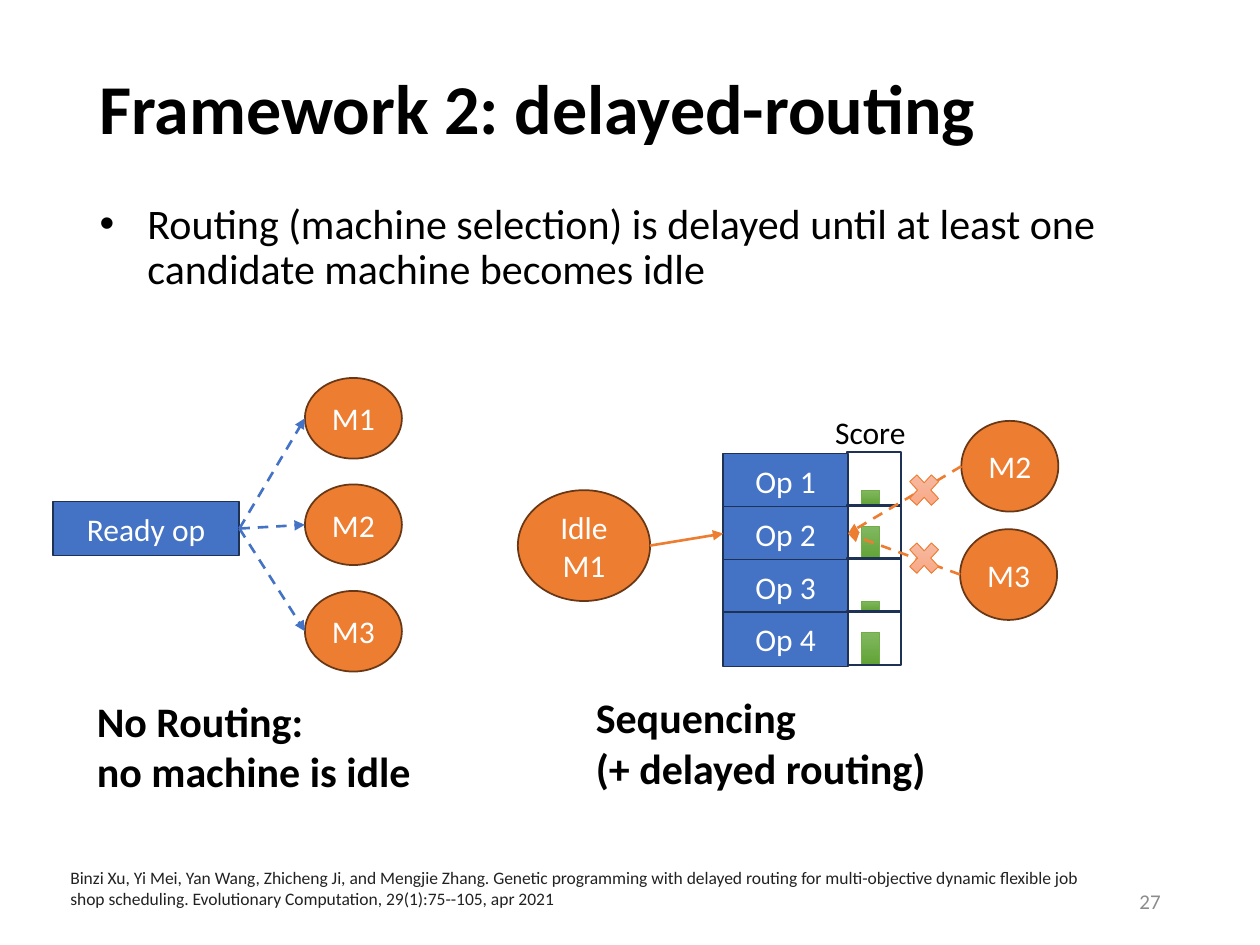
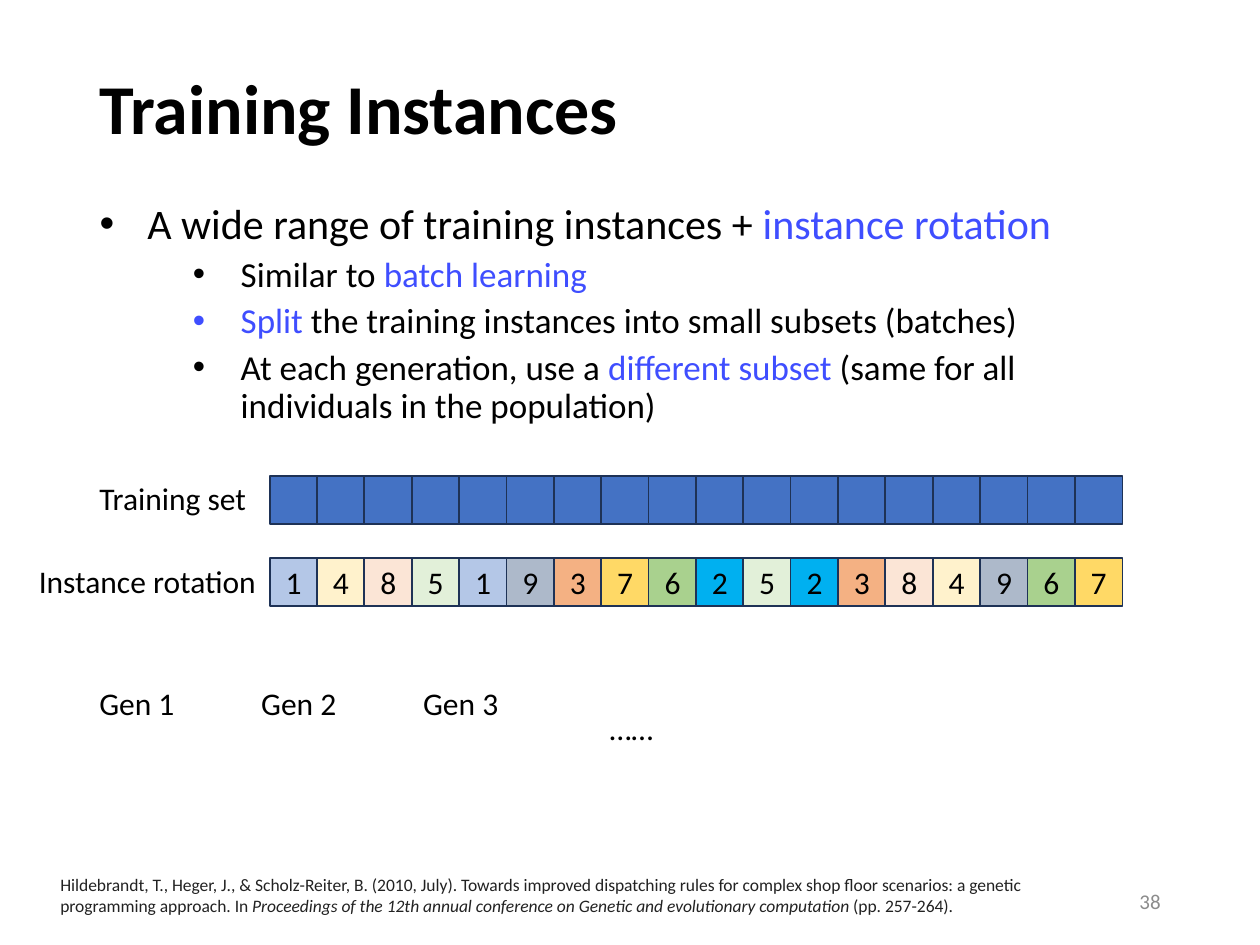
from typing import NamedTuple

from lxml import etree
from pptx import Presentation
from pptx.dml.color import RGBColor
from pptx.enum import dml, shapes, text
from pptx.oxml.ns import qn
from pptx.util import Inches, Pt

FONT = "Calibri"
BLACK = RGBColor(0x00, 0x00, 0x00)
WHITE = RGBColor(0xFF, 0xFF, 0xFF)
GREY = RGBColor(0x8C, 0x8C, 0x8C)
INK = RGBColor(0x22, 0x22, 0x22)
ACCENT = RGBColor(0x3F, 0x4E, 0xFF)
BLUE = RGBColor(0x44, 0x72, 0xC4)
NAVY = RGBColor(0x1E, 0x32, 0x56)
ORANGE = RGBColor(0xED, 0x7D, 0x31)
BROWN = RGBColor(0x68, 0x37, 0x15)
GREEN = RGBColor(0x70, 0xAD, 0x47)
LEAF = (RGBColor(0x81, 0xB8, 0x61), RGBColor(0x62, 0xA3, 0x36))
PEACH = (RGBColor(0xF7, 0xBD, 0xA5), RGBColor(0xF8, 0xA5, 0x82))
BATCH = {
    1: RGBColor(0xB4, 0xC7, 0xE7),
    2: RGBColor(0x00, 0xB0, 0xF0),
    3: RGBColor(0xF4, 0xB1, 0x83),
    4: RGBColor(0xFF, 0xF2, 0xCC),
    5: RGBColor(0xE2, 0xF0, 0xD9),
    6: RGBColor(0xA9, 0xD1, 0x8E),
    7: RGBColor(0xFF, 0xD9, 0x66),
    8: RGBColor(0xFB, 0xE5, 0xD6),
    9: RGBColor(0xAD, 0xB9, 0xCA),
}
ORDER = (1, 4, 8, 5, 1, 9, 3, 7, 6, 2, 5, 2, 3, 8, 4, 9, 6, 7)

RECT = shapes.MSO_SHAPE.RECTANGLE
OVAL = shapes.MSO_SHAPE.OVAL
CROSS = shapes.MSO_SHAPE.MATH_MULTIPLY
LEFT, RIGHT = 1, 3


class Box(NamedTuple):
    x: float
    y: float
    w: float
    h: float


class Bit(NamedTuple):
    """A stretch of text with its own look."""
    words: str
    color: RGBColor = BLACK
    slant: bool = False


class Look(NamedTuple):
    fill: RGBColor | tuple | None
    line: RGBColor
    width: float = 1
    ink: RGBColor = WHITE


class Item(NamedTuple):
    level: int
    bits: tuple


TASK = Look(BLUE, NAVY)
HOST = Look(ORANGE, BROWN)
CELL = Look(None, NAVY)
BAR = Look(LEAF, GREEN, 0.5)
MARK = Look(PEACH, ORANGE, 0.5)


def place(shape, box: Box) -> None:
    shape.left, shape.top, shape.width, shape.height = map(Inches, box)


def style(font, size: float, color: RGBColor, bold: bool = False) -> None:
    font.name, font.size, font.bold = FONT, Pt(size), bold
    font.color.rgb = color


def write(para, bits: tuple, size: float) -> None:
    for bit in bits:
        run = para.add_run()
        run.text = bit.words
        style(run.font, size, bit.color)
        run.font.italic = bit.slant


def label(slide, box: Box, words: str, size: float = 18, color: RGBColor = BLACK,
          bold: bool = False, wrap: bool = False):
    shape = slide.shapes.add_textbox(*map(Inches, box))
    frame = shape.text_frame
    frame.text = words
    frame.word_wrap = wrap
    for para in frame.paragraphs:
        for run in para.runs:
            style(run.font, size, color, bold)
    return shape


def draw(slide, kind, box: Box, look: Look, words: str = ""):
    shape = slide.shapes.add_shape(kind, *map(Inches, box))
    shape.shadow.inherit = False
    if look.fill is None:
        shape.fill.background()
    elif isinstance(look.fill, RGBColor):
        shape.fill.solid()
        shape.fill.fore_color.rgb = look.fill
    else:
        shape.fill.gradient()
        shape.fill.gradient_angle = 270
        for stop, color in zip(shape.fill.gradient_stops, look.fill):
            stop.color.rgb = color
    shape.line.color.rgb = look.line
    shape.line.width = Pt(look.width)
    if words:
        frame = shape.text_frame
        frame.text = words
        frame.word_wrap = True
        frame.margin_left = frame.margin_right = Inches(0.05)
        frame.vertical_anchor = text.MSO_ANCHOR.MIDDLE
        para = frame.paragraphs[0]
        para.alignment = text.PP_ALIGN.CENTER
        style(para.runs[0].font, 18, look.ink)
    return shape


def point(shape, side: int) -> tuple:
    """Middle of the left or right side."""
    x = shape.left + (shape.width if side == RIGHT else 0)
    return x, shape.top + shape.height // 2


def link(slide, start, end, sides: tuple, color: RGBColor, dashed: bool = True) -> None:
    """Arrow from side to side, joined to the rectangles."""
    line = slide.shapes.add_connector(
        shapes.MSO_CONNECTOR.STRAIGHT, *point(start, sides[0]), *point(end, sides[1]))
    if start.auto_shape_type == RECT:
        line.begin_connect(start, sides[0])
    if end.auto_shape_type == RECT:
        line.end_connect(end, sides[1])
    line.line.color.rgb = color
    line.line.width = Pt(1.5)
    if dashed:
        line.line.dash_style = dml.MSO_LINE.DASH
    props = line._element.spPr
    etree.SubElement(props.get_or_add_ln(), qn("a:tailEnd"), type="triangle")
    etree.SubElement(props, qn("a:effectLst"))


def bullet(para, inset: float) -> None:
    props = para._p.get_or_add_pPr()
    props.set("marL", str(Inches(inset)))
    props.set("indent", str(Inches(-0.38)))
    etree.SubElement(props, qn("a:buFont"), typeface="Arial")
    etree.SubElement(props, qn("a:buChar"), char="•")


def start_slide(deck, title: str, items: list, number: str):
    """Slide with title, bullet list and page number."""
    slide = deck.slides.add_slide(deck.slide_layouts[1])
    head, body = slide.placeholders
    place(head, Box(0.69, 0.4, 8.62, 0.97))
    frame = head.text_frame
    frame.text = title
    frame.auto_size = text.MSO_AUTO_SIZE.NONE
    frame.vertical_anchor = text.MSO_ANCHOR.MIDDLE
    para = frame.paragraphs[0]
    para.alignment = text.PP_ALIGN.LEFT
    para.line_spacing = 0.9
    style(para.runs[0].font, 40, BLACK, True)

    place(body, Box(0.69, 1.56, 8.62, 5.19))
    frame = body.text_frame
    frame.auto_size = text.MSO_AUTO_SIZE.NONE
    for index, item in enumerate(items):
        para = frame.add_paragraph() if index else frame.paragraphs[0]
        para.level = item.level
        bullet(para, 1.12 if item.level else 0.38)
        para.line_spacing = 0.9
        para.space_before = Pt(5 if index else 0)
        write(para, item.bits, 20 if item.level else 24)

    page = label(slide, Box(7.06, 6.95, 2.25, 0.4), number, 12, GREY, wrap=True)
    page.text_frame.vertical_anchor = text.MSO_ANCHOR.MIDDLE
    page.text_frame.paragraphs[0].alignment = text.PP_ALIGN.RIGHT
    return slide


def cite(slide, box: Box, *bits: Bit) -> None:
    note = label(slide, box, "", wrap=True)
    write(note.text_frame.paragraphs[0], bits, 10)


def delay_slide(deck) -> None:
    slide = start_slide(deck, "Framework 2: delayed-routing", [
        Item(0, (Bit("Routing (machine selection) is delayed until at least one "
                     "candidate machine becomes idle"),)),
    ], "27")

    ready = draw(slide, RECT, Box(0.42, 3.98, 1.48, 0.43), TASK, "Ready op")
    for row in range(3):
        host = draw(slide, OVAL, Box(2.42, 3 + 0.845 * row, 0.77, 0.64), HOST, f"M{row + 1}")
        link(slide, ready, host, (RIGHT, LEFT), BLUE)

    ops = []
    for row, score in enumerate((0.12, 0.25, 0.08, 0.25)):
        top = 3.59 + 0.42 * row
        draw(slide, RECT, Box(6.84, top + 0.42 - score, 0.14, score), BAR)
        draw(slide, RECT, Box(6.72, top, 0.43, 0.43), CELL)
        ops.append(draw(slide, RECT, Box(5.74, top + 0.01, 0.99, 0.43), TASK, f"Op {row + 1}"))
    label(slide, Box(6.53, 3.23, 0.77, 0.4), "Score")

    chosen = ops[1]
    idle = draw(slide, OVAL, Box(4.11, 3.89, 1.05, 0.88), HOST, "Idle M1")
    link(slide, idle, chosen, (RIGHT, LEFT), ORANGE, dashed=False)
    for name, x, y in (("M2", 7.63, 3.34), ("M3", 7.62, 4.2)):
        host = draw(slide, OVAL, Box(x, y, 0.77, 0.72), HOST, name)
        link(slide, host, chosen, (LEFT, RIGHT), ORANGE)
    for y in (3.71, 4.25):
        draw(slide, CROSS, Box(7.17, y, 0.33, 0.36), MARK)

    label(slide, Box(0.67, 5.47, 2.76, 0.91), "No Routing:\nno machine is idle", 24,
          bold=True, wrap=True)
    label(slide, Box(4.63, 5.44, 2.85, 0.91), "Sequencing\n(+ delayed routing)", 24, bold=True)
    cite(slide, Box(0.46, 6.83, 8.34, 0.44), Bit(
        "Binzi Xu, Yi Mei, Yan Wang, Zhicheng Ji, and Mengjie Zhang. Genetic programming with "
        "delayed routing for multi-objective dynamic flexible job shop scheduling. "
        "Evolutionary Computation, 29(1):75--105, apr 2021", INK))


def train_slide(deck) -> None:
    slide = start_slide(deck, "Training Instances", [
        Item(0, (Bit("A wide range of training instances + "),
                 Bit("instance rotation", ACCENT))),
        Item(1, (Bit("Similar to "), Bit("batch learning", ACCENT))),
        Item(1, (Bit("Split", ACCENT),
                 Bit(" the training instances into small subsets (batches)"))),
        Item(1, (Bit("At each generation, use a "), Bit("different subset ", ACCENT),
                 Bit("(same for all individuals in the population)"))),
    ], "38")

    step = 6.39 / (len(ORDER) - 1)
    for index, batch in enumerate(ORDER):
        x = 2.14 + step * index
        draw(slide, RECT, Box(x, 3.78, 0.38, 0.38), TASK)
        draw(slide, RECT, Box(x, 4.43, 0.38, 0.38),
             Look(BATCH[batch], NAVY, ink=BLACK), str(batch))
    label(slide, Box(0.69, 3.75, 1.38, 0.4), "Training set")
    label(slide, Box(0.21, 4.41, 1.94, 0.4), "Instance rotation")

    for index in range(3):
        label(slide, Box(0.69 + 1.285 * index, 5.38, 0.81, 0.4), f"Gen {index + 1}")
    label(slide, Box(4.74, 5.58, 0.56, 0.4), "……")
    cite(slide, Box(0.38, 6.89, 8.39, 0.44),
         Bit("Hildebrandt, T., Heger, J., & Scholz-Reiter, B. (2010, July). Towards improved "
             "dispatching rules for complex shop floor scenarios: a genetic programming "
             "approach. In ", INK),
         Bit("Proceedings of the 12th annual conference on Genetic and evolutionary "
             "computation", INK, True),
         Bit(" (pp. 257-264).", INK))


def main() -> None:
    deck = Presentation()
    deck.slide_width, deck.slide_height = Inches(10), Inches(7.5)
    delay_slide(deck)
    train_slide(deck)
    deck.save("out.pptx")


if __name__ == "__main__":
    main()
